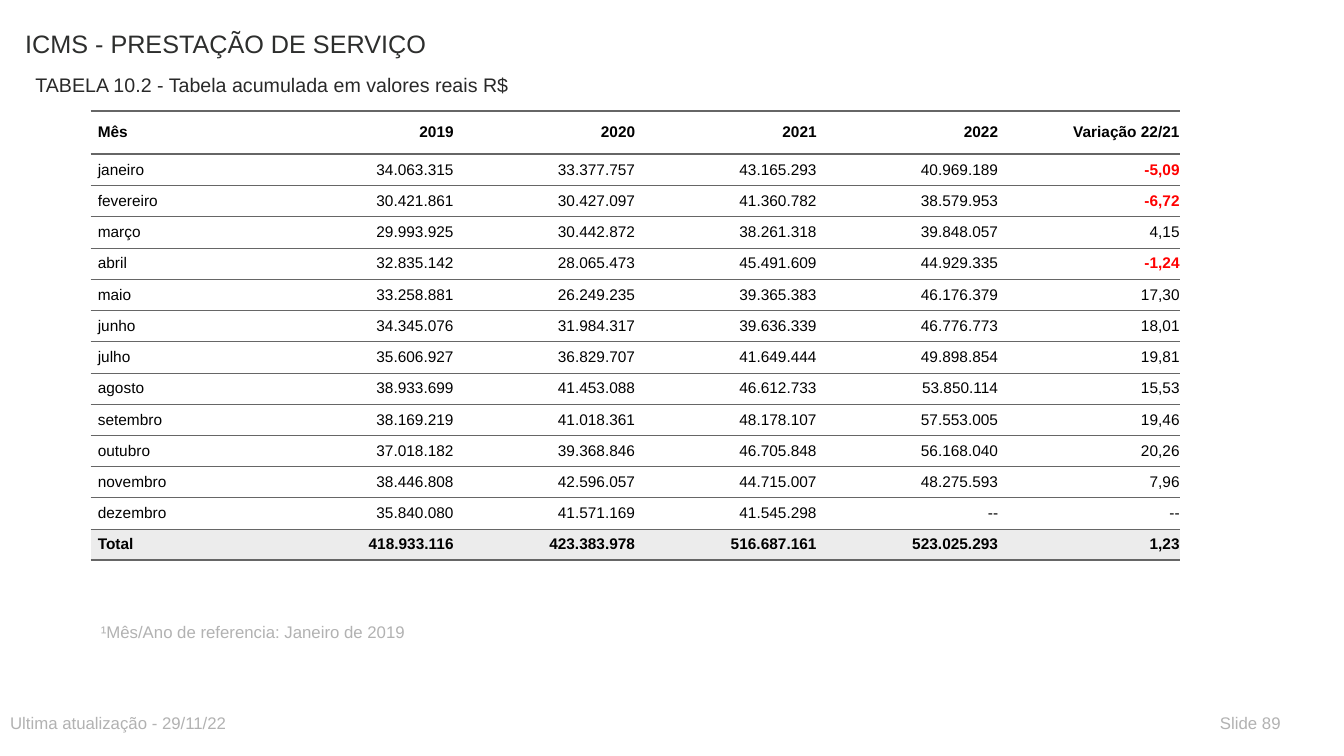
from dataclasses import dataclass

from lxml import etree
from pptx import Presentation
from pptx import util as u
from pptx.dml.color import RGBColor
from pptx.enum import text
from pptx.oxml.ns import qn

PX = 9144  # EMU per px, 100 px to the inch


@dataclass(frozen=True)
class Theme:
    font: str = "Arial"
    heading: str = "2D2E2D"
    caption: str = "292929"
    muted: str = "B2B2B2"
    ink: str = "000000"
    negative: str = "FF0000"
    rule: str = "666666"
    paper: str = "FFFFFF"
    total_fill: str = "ECECEC"
    heading_size: int = 18
    caption_size: int = 14
    note_size: int = 12
    table_size: int = 11
    thick: float = 2
    thin: float = 0.5


class SlideBuilder:
    PLAIN_TABLE = "{2D5ABB26-0587-4C30-8999-92F81FD0307C}"

    def __init__(self, slide, theme):
        self.slide, self.theme = slide, theme

    def style(self, paragraph, size, color, bold=False):
        font = paragraph.font
        font.name, font.size, font.bold = self.theme.font, u.Pt(size), bold
        font.color.rgb = RGBColor.from_string(color)

    def placeholder(self, idx, words, box, size, color):
        holder = self.slide.placeholders[idx]
        holder.left, holder.top, holder.width, holder.height = (n * PX for n in box)
        frame = holder.text_frame
        frame.text = words
        frame.word_wrap = True
        frame.auto_size = text.MSO_AUTO_SIZE.NONE
        frame.vertical_anchor = text.MSO_ANCHOR.TOP
        paragraph = frame.paragraphs[0]
        paragraph.alignment = text.PP_ALIGN.LEFT
        paragraph.space_before = u.Pt(0)
        paragraph.line_spacing = 1.1
        props = paragraph._p.get_or_add_pPr()
        props.set("marL", "0")
        props.set("indent", "0")
        etree.SubElement(props, qn("a:buNone"))
        self.style(paragraph, size, color)

    def border(self, cell, side, points):
        line = etree.SubElement(cell._tc.get_or_add_tcPr(), qn(f"a:{side}"),
                                w=str(u.Pt(points)))
        fill = etree.SubElement(line, qn("a:solidFill"))
        etree.SubElement(fill, qn("a:srgbClr"), val=self.theme.rule)

    def cell(self, cell, words, first, bold, color, fill, top, bottom):
        cell.text = words
        cell.vertical_anchor = text.MSO_ANCHOR.MIDDLE
        cell.margin_left = cell.margin_right = 0
        cell.margin_top = cell.margin_bottom = 6 * PX
        self.border(cell, "lnT", top)
        self.border(cell, "lnB", bottom)
        cell.fill.solid()
        cell.fill.fore_color.rgb = RGBColor.from_string(fill)
        paragraph = cell.text_frame.paragraphs[0]
        paragraph.alignment = text.PP_ALIGN.LEFT if first else text.PP_ALIGN.RIGHT
        paragraph._p.get_or_add_pPr().set("marL", str(7 * PX))
        self.style(paragraph, self.theme.table_size, color, bold)

    def table(self, rows, left, top, column_width, header_height, row_height):
        theme, last = self.theme, len(rows) - 1
        heights = [header_height] + [row_height] * last
        frame = self.slide.shapes.add_table(
            len(rows), len(rows[0]), left * PX, top * PX,
            column_width * len(rows[0]) * PX, sum(heights) * PX)
        grid = frame.table
        grid.horz_banding = False
        grid._tbl.tblPr.find(qn("a:tableStyleId")).text = self.PLAIN_TABLE
        for column in grid.columns:
            column.width = column_width * PX
        for r, values in enumerate(rows):
            grid.rows[r].height = heights[r] * PX
            for c, value in enumerate(values):
                negative = value.startswith("-") and value != "--"
                self.cell(
                    grid.cell(r, c), value, first=c == 0,
                    bold=negative or r in (0, last),
                    color=theme.negative if negative else theme.ink,
                    fill=theme.total_fill if r == last else theme.paper,
                    top=theme.thick if r in (0, 1) else theme.thin,
                    bottom=theme.thick if r in (0, last) else theme.thin)


REVENUE = """\
Mês|2019|2020|2021|2022|Variação 22/21
janeiro|34.063.315|33.377.757|43.165.293|40.969.189|-5,09
fevereiro|30.421.861|30.427.097|41.360.782|38.579.953|-6,72
março|29.993.925|30.442.872|38.261.318|39.848.057|4,15
abril|32.835.142|28.065.473|45.491.609|44.929.335|-1,24
maio|33.258.881|26.249.235|39.365.383|46.176.379|17,30
junho|34.345.076|31.984.317|39.636.339|46.776.773|18,01
julho|35.606.927|36.829.707|41.649.444|49.898.854|19,81
agosto|38.933.699|41.453.088|46.612.733|53.850.114|15,53
setembro|38.169.219|41.018.361|48.178.107|57.553.005|19,46
outubro|37.018.182|39.368.846|46.705.848|56.168.040|20,26
novembro|38.446.808|42.596.057|44.715.007|48.275.593|7,96
dezembro|35.840.080|41.571.169|41.545.298|--|--
Total|418.933.116|423.383.978|516.687.161|523.025.293|1,23"""


def main():
    deck = Presentation()
    deck.slide_width, deck.slide_height = 1333 * PX, 750 * PX
    theme = Theme()
    # The Comparison layout has one title and four body placeholders
    page = SlideBuilder(deck.slides.add_slide(deck.slide_layouts[4]), theme)

    # Title and table caption
    page.placeholder(0, "ICMS - PRESTAÇÃO DE SERVIÇO", (15, 20, 800, 59),
                     theme.heading_size, theme.heading)
    page.placeholder(1, "TABELA 10.2 - Tabela acumulada em valores reais R$",
                     (25, 65, 650, 30), theme.caption_size, theme.caption)

    # Monthly revenue
    page.table([line.split("|") for line in REVENUE.splitlines()],
               left=90, top=110, column_width=180, header_height=43, row_height=31)

    # Footnote and footer
    notes = [
        (2, "¹Mês/Ano de referencia: Janeiro de 2019", (90, 610, 650, 30)),
        (3, "Ultima atualização - 29/11/22", (0, 700, 650, 30)),
        (4, "Slide 89", (1200, 700, 90, 30)),
    ]
    for idx, words, box in notes:
        page.placeholder(idx, words, box, theme.note_size, theme.muted)

    deck.save("out.pptx")


if __name__ == "__main__":
    main()
